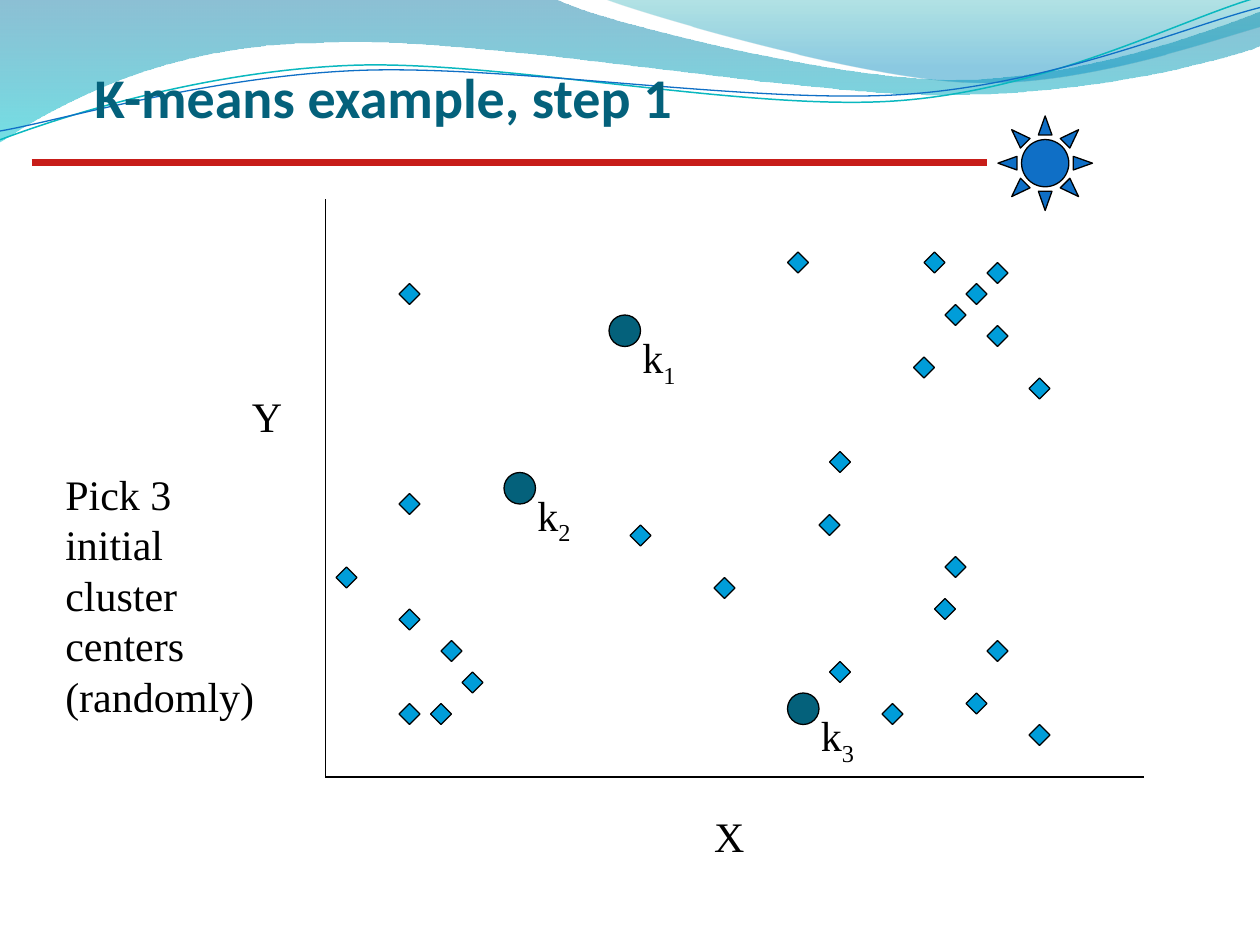
from lxml.etree import SubElement
from pptx import Presentation
from pptx.dml.color import RGBColor
from pptx.enum.shapes import MSO_CONNECTOR as Connector, MSO_SHAPE as Shape
from pptx.enum.text import MSO_ANCHOR as Anchor
from pptx.oxml.ns import qn
from pptx.util import Inches, Pt

WIDTH, HEIGHT = 10, 7.5
UNIT = 1 / 12
SERIF = "Times New Roman"
BLACK, TEAL, BLUE, SKY, RED = "000000", "04617B", "0F6FC6", "009DD9", "C71D19"

TITLE = "K-means example, step 1"
NOTE = ["Pick 3 ", "initial", "cluster", "centers", "(randomly)"]
POINTS = [
    (42, 61), (44, 64), (41, 67), (38, 58), (38, 27), (38, 47), (38, 67),
    (32, 54), (60, 50), (88, 24), (94, 25), (92, 27), (90, 29), (94, 31),
    (98, 36), (75, 24), (79, 43), (79, 63), (84, 67), (89, 57), (78, 49),
    (68, 55), (94, 61), (92, 66), (90, 53), (98, 69), (87, 34),
]
CENTERS = [(58, 30), (48, 45), (75, 66)]
AXES = [((31, 19), (31, 74)), ((31, 74), (109, 74))]
AXIS_NAMES = [("X", 5.57, 6.38), ("Y", 1.9, 3.05)]

BANDS = [
    ([(0, -0.01), (4.4, -0.01),
      (4.76, 0.17, 6.64, 0.63, 7.58, 0.63), (8.53, 0.63, 9.58, 0.26, 10, 0.09),
      (10.01, 0.36),
      (9.83, 0.44, 8.7, 0.76, 7.46, 0.75), (6.22, 0.75, 3.82, 0.28, 2.57, 0.34),
      (1.29, 0.35, 0.46, 0.83, -0.01, 1.13)],
     [(0, "0074A1", 45), (1, "00C6CF", 55)]),
    ([(4.79, -0.01),
      (5.09, 0.11, 6.82, 0.62, 7.69, 0.65), (8.56, 0.69, 9.61, 0.32, 10, 0.21),
      (10, 0)],
     [(0, "00A1A9", 30), (0.8, "008BBF", 45)]),
]
WAVES = [
    ([(0, 1.11), (0.48, 0.93, 1.58, 0.57, 2.77, 0.52),
      (3.95, 0.47, 5.93, 0.89, 7.13, 0.8), (8.33, 0.71, 9.38, 0.15, 9.98, -0.02)],
     "0AB8BF", 0.85),
    ([(0, 1.04), (0.47, 0.96, 1.64, 0.61, 2.83, 0.56),
      (4.03, 0.51, 5.97, 0.83, 7.17, 0.75), (8.36, 0.67, 9.41, 0.21, 10, 0.06)],
     BLUE, 0.75),
]

deck = Presentation()
deck.slide_width, deck.slide_height = Inches(WIDTH), Inches(HEIGHT)
page = deck.slides.add_slide(deck.slide_layouts[6])


def color(code):
    return RGBColor.from_string(code)


def set_line(item, code, width):
    item.line.color.rgb = color(code)
    item.line.width = Pt(width)


def add_outline(outline, close):
    anchors = [(Inches(part[-2]), Inches(part[-1])) for part in outline]
    builder = page.shapes.build_freeform(*anchors[0])
    builder.add_line_segments(anchors[1:], close=close)
    shape = builder.convert_to_shape()
    shape.shadow.inherit = False
    segments = list(shape._element.spPr.iter(qn("a:lnTo")))
    for segment, part in zip(segments, outline[1:]):
        if len(part) == 6:
            segment.tag = qn("a:cubicBezTo")
            for index in (0, 1):
                x, y = part[2 * index:2 * index + 2]
                handle = SubElement(segment, qn("a:pt"),
                                    x=str(Inches(x) - shape.left),
                                    y=str(Inches(y) - shape.top))
                segment.insert(index, handle)
    return shape


def add_band(outline, stops):
    shape = add_outline(outline, True)
    shape.line.fill.background()
    shape.fill.gradient()
    shape.fill.gradient_angle = 270
    for stop, (position, code, _) in zip(shape.fill.gradient_stops, stops):
        stop.position = position
        stop.color.rgb = color(code)
    tones = shape._element.spPr.iter(qn("a:srgbClr"))
    for tone, (_, _, opacity) in zip(tones, stops):
        SubElement(tone, qn("a:alpha"), val=str(opacity * 1000))


def add_wave(outline, code, width):
    shape = add_outline(outline, False)
    shape.fill.background()
    set_line(shape, code, width)


def add_mark(kind, left, top, size, code):
    shape = page.shapes.add_shape(
        kind, Inches(left), Inches(top), Inches(size), Inches(size))
    shape.shadow.inherit = False
    shape.fill.solid()
    shape.fill.fore_color.rgb = color(code)
    set_line(shape, BLACK, 0.75)
    return shape


def add_line(start, end, code, width):
    line = page.shapes.add_connector(
        Connector.STRAIGHT, *(Inches(v) for v in (*start, *end)))
    set_line(line, code, width)
    SubElement(line._element.spPr, qn("a:effectLst"))


def add_text(lines, left, top, width, height, font=SERIF, size=24, code=BLACK,
             bold=False, wrap=False):
    box = page.shapes.add_textbox(
        Inches(left), Inches(top), Inches(width), Inches(height))
    frame = box.text_frame
    frame.word_wrap = wrap
    for index, spans in enumerate(lines):
        para = frame.paragraphs[0] if index == 0 else frame.add_paragraph()
        for text, baseline in spans:
            span = para.add_run()
            span.text = text
            span.font.name, span.font.size, span.font.bold = font, Pt(size), bold
            span.font.color.rgb = color(code)
            if baseline:
                span.font._element.set("baseline", str(baseline * 1000))
    return frame


for band in BANDS:
    add_band(*band)
for wave in WAVES:
    add_wave(*wave)

title = add_text([[(TITLE, 0)]], 0.75, 0.3, 5.67, 0.73, "Calibri", 32, TEAL, True, True)
title.vertical_anchor = Anchor.BOTTOM
title.margin_left = title.margin_right = title.margin_bottom = 0

for column, row in POINTS:
    add_mark(Shape.DIAMOND, column * UNIT, row * UNIT, 2 * UNIT, SKY)
for number, (column, row) in enumerate(CENTERS, 1):
    add_mark(Shape.OVAL, column * UNIT, row * UNIT, 3 * UNIT, TEAL)
    add_text([[("k", 0), (str(number), -25)]], (column + 2) * UNIT,
             (row + 1) * UNIT, 7 * UNIT, 6 * UNIT, wrap=True)

for ends in AXES:
    add_line(*(tuple(v * UNIT for v in end) for end in ends), BLACK, 0.75)
for name, left, top in AXIS_NAMES:
    add_text([[(name, 0)]], left, top, 0.44, 0.5)
add_text([[(text, 0)] for text in NOTE], 0.42, 3.67, 1.7, 2.5)

add_line((0.25, 1.29), (7.83, 1.29), RED, 4.5)
sun = add_mark(Shape.SUN, 7.92, 0.92, 0.75, BLUE)
sun.adjustments[0] = 0.25

deck.save("out.pptx")
